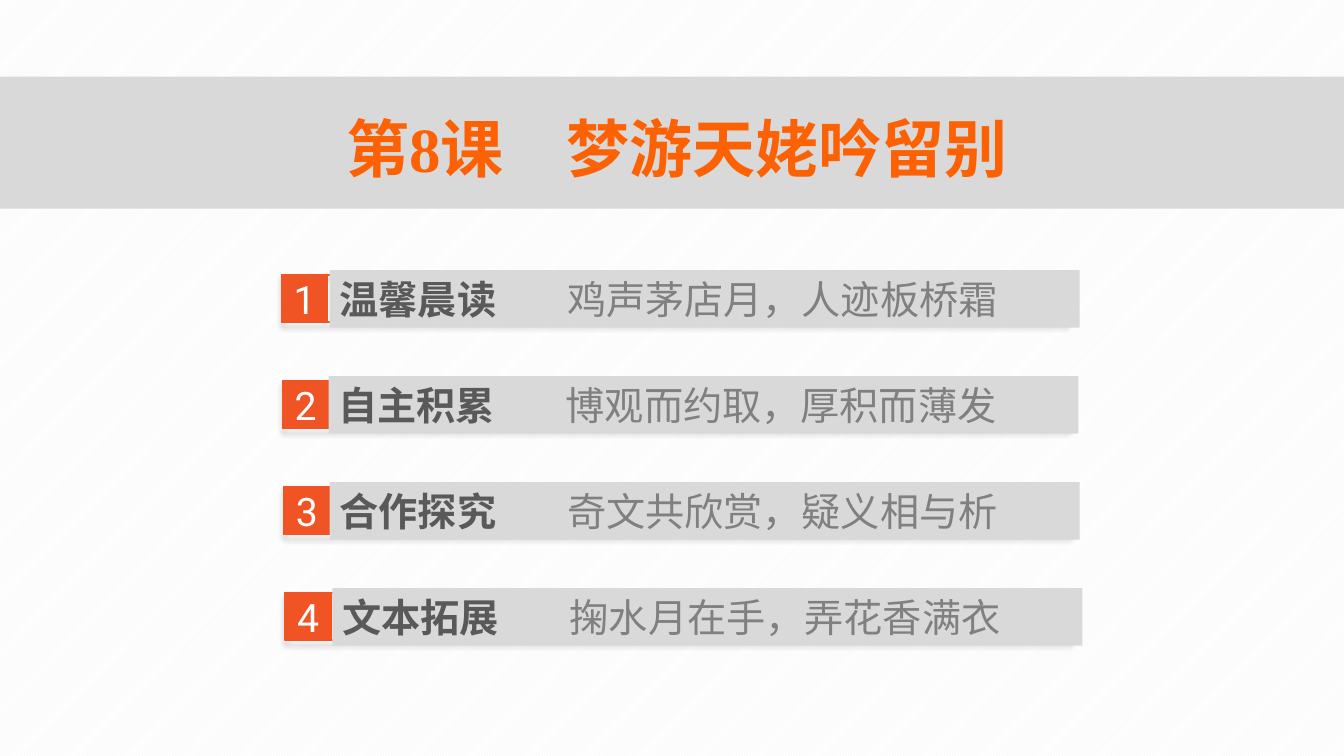
import pptx
import pptx.util
import pptx.dml.color
import pptx.enum.dml
import pptx.enum.shapes
import pptx.enum.text
import pptx.oxml
import pptx.oxml.ns
import lxml.etree

Cm, Pt = pptx.util.Cm, pptx.util.Pt
ALIGN, ANCHOR = pptx.enum.text.PP_ALIGN, pptx.enum.text.MSO_ANCHOR
CJK = "Noto Sans CJK SC"
ORANGE, GREY = "F05425", "D9D9D9"
SHADOW = (
    f'<a:effectLst {pptx.oxml.ns.nsdecls("a")}>'
    '<a:outerShdw blurRad="50800" dist="38100" dir="5400000" algn="t" rotWithShape="0">'
    '<a:srgbClr val="000000"><a:alpha val="40000"/></a:srgbClr>'
    '</a:outerShdw></a:effectLst>')


def add_rect(shapes, x, y, w, h, fill=None, line=None):
    sp = shapes.add_shape(pptx.enum.shapes.MSO_SHAPE.RECTANGLE, Cm(x), Cm(y), Cm(w), Cm(h))
    sp.shadow.inherit = False
    if fill:
        sp.fill.solid()
        sp.fill.fore_color.rgb = pptx.dml.color.RGBColor.from_string(fill)
    else:
        sp.fill.background()
    if line:
        sp.line.color.rgb = pptx.dml.color.RGBColor.from_string(line)
        sp.line.width = Pt(1)
    else:
        sp.line.fill.background()
    return sp


def add_text(sp, text, size=28, font=CJK, color="000000", bold=False, align=ALIGN.CENTER):
    """Add a run to the shape's first paragraph, centred vertically."""
    tf = sp.text_frame
    tf.word_wrap = True
    tf.vertical_anchor = ANCHOR.MIDDLE
    tf.margin_top = tf.margin_bottom = 0
    p = tf.paragraphs[0]
    p.alignment = align
    r = p.add_run()
    r.text = text
    r.font.size, r.font.bold = Pt(size), bold
    r.font.color.rgb = pptx.dml.color.RGBColor.from_string(color)
    r.font.name = font
    ea = lxml.etree.SubElement(r.font._element, pptx.oxml.ns.qn("a:ea"))
    ea.set("typeface", CJK)


prs = pptx.Presentation()
prs.slide_width, prs.slide_height = Cm(33.87), Cm(19.05)
s = prs.slides.add_slide(prs.slide_layouts[5])

bg = s.background.fill
bg.patterned()
bg.pattern = pptx.enum.dml.MSO_PATTERN.LIGHT_UPWARD_DIAGONAL
bg.fore_color.rgb = pptx.dml.color.RGBColor.from_string("F2F2F2")
bg.back_color.rgb = pptx.dml.color.RGBColor.from_string("FFFFFF")

add_rect(s.shapes, 0, 1.93, 33.87, 3.33, fill=GREY)

# Section rows: heading, verse, left edge of the grey bar
sections = [
    ("温馨晨读", "鸡声茅店月，人迹板桥霜", 8.31),
    ("自主积累", "博观而约取，厚积而薄发", 8.28),
    ("合作探究", "奇文共欣赏，疑义相与析", 8.31),
    ("文本拓展", "掬水月在手，弄花香满衣", 8.38),
]
for i, (heading, verse, bar_x) in enumerate(sections):
    x, dy = 7.09 + 0.03 * i, 2.67 * i
    shapes = s.shapes.add_group_shape().shapes

    frame = add_rect(shapes, x, 6.93 + dy, 19.79, 1.19, line=ORANGE)
    frame.shadow.inherit = True
    frame._element.spPr.append(pptx.oxml.parse_xml(SHADOW))

    badge = add_rect(shapes, x, 6.93 + dy, 1.17, 1.19, fill=ORANGE, line=ORANGE)
    badge.text_frame.margin_left = badge.text_frame.margin_right = 0
    add_text(badge, str(i + 1), font="Roboto", color="FFFFFF")

    bar = add_rect(shapes, bar_x, 6.81 + dy, 18.9, 1.45, fill=GREY)
    pPr = bar.text_frame.paragraphs[0]._p.get_or_add_pPr()
    tabs = lxml.etree.SubElement(pPr, pptx.oxml.ns.qn("a:tabLst"))
    lxml.etree.SubElement(tabs, pptx.oxml.ns.qn("a:tab"), pos=str(Cm(5.73)), algn="l")
    add_text(bar, heading + "\t", color="595959", bold=True, align=ALIGN.LEFT)
    add_text(bar, verse, color="808080", align=ALIGN.LEFT)

title = s.shapes.title
title.left, title.top, title.width, title.height = Cm(7.29), Cm(2.67), Cm(19.53), Cm(2.08)
add_text(title, "第8课\u3000梦游天姥吟留别", size=45, font="Times New Roman", color="FC6204", bold=True)
s.shapes._spTree.append(title._element)  # in front of the grey band

prs.save("out.pptx")
